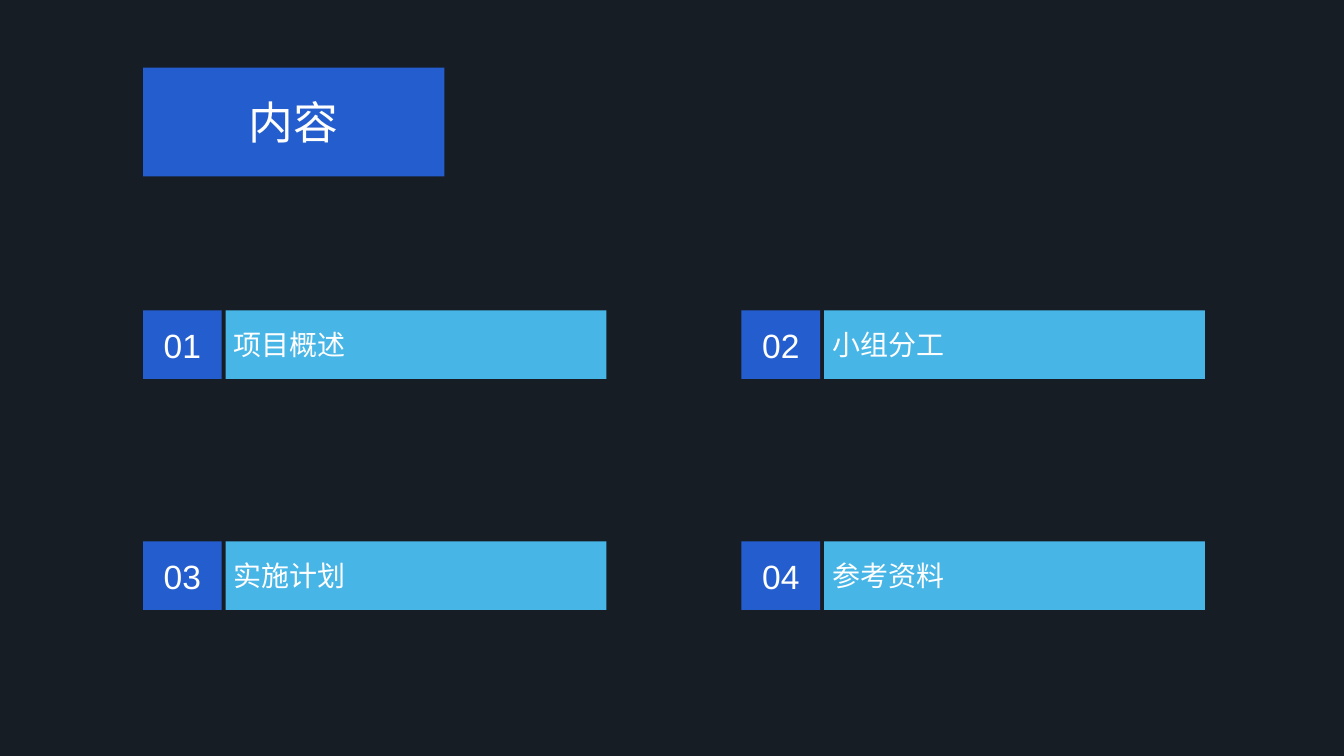
from pptx import Presentation
from pptx.dml.color import RGBColor
from pptx.enum.shapes import MSO_SHAPE
from pptx.enum.text import MSO_ANCHOR, PP_ALIGN
from pptx.util import Inches, Pt

RECTANGLE = MSO_SHAPE.RECTANGLE
MIDDLE = MSO_ANCHOR.MIDDLE
CENTER = PP_ALIGN.CENTER
LEFT = PP_ALIGN.LEFT

TOPICS = ["项目概述", "小组分工", "实施计划", "参考资料"]


def color(hex_value):
    return RGBColor.from_string(hex_value)


class Agenda:
    font = "Arial"
    ink = "FFFFFF"
    dark = "171D25"
    blue = "245ECE"
    sky = "47B6E7"
    columns = 2
    left, top = 1.42, 3.08
    column_pitch, row_pitch = 5.94, 2.29
    number_width, topic_width, gap = 0.78, 3.78, 0.04
    bar_height = 0.68

    def __init__(self, presentation):
        self.slide = presentation.slides.add_slide(presentation.slide_layouts[6])
        background = self.slide.background.fill
        background.solid()
        background.fore_color.rgb = color(self.dark)

    def block(self, text, box, fill, size, align=CENTER, insets=(0, 0, 0, 0)):
        block = self.slide.shapes.add_shape(RECTANGLE, *map(Inches, box))
        block.shadow.inherit = False
        block.fill.solid()
        block.fill.fore_color.rgb = color(fill)
        block.line.fill.background()
        frame = block.text_frame
        frame.word_wrap = True
        frame.vertical_anchor = MIDDLE
        (frame.margin_left, frame.margin_top,
         frame.margin_right, frame.margin_bottom) = map(Inches, insets)
        frame.text = text
        paragraph = frame.paragraphs[0]
        paragraph.alignment = align
        font = paragraph.runs[0].font
        font.name = self.font
        font.size = Pt(size)
        font.color.rgb = color(self.ink)

    def title(self, text):
        self.block(text, (self.left, 0.67, 2.99, 1.08), self.blue, 32,
                   insets=(0.1, 0.05, 0.1, 0.05))

    def entry(self, index, topic):
        row, column = divmod(index, self.columns)
        x = self.left + column * self.column_pitch
        y = self.top + row * self.row_pitch
        self.block(f"{index + 1:02}", (x, y, self.number_width, self.bar_height),
                   self.blue, 24)
        topic_x = x + self.number_width + self.gap
        self.block(topic, (topic_x, y, self.topic_width, self.bar_height),
                   self.sky, 20, LEFT, (0.08, 0, 0, 0.01))


def main():
    presentation = Presentation()
    presentation.slide_width = Inches(13.34)
    presentation.slide_height = Inches(7.5)
    agenda = Agenda(presentation)
    agenda.title("内容")
    for index, topic in enumerate(TOPICS):
        agenda.entry(index, topic)
    presentation.save("out.pptx")


if __name__ == "__main__":
    main()
